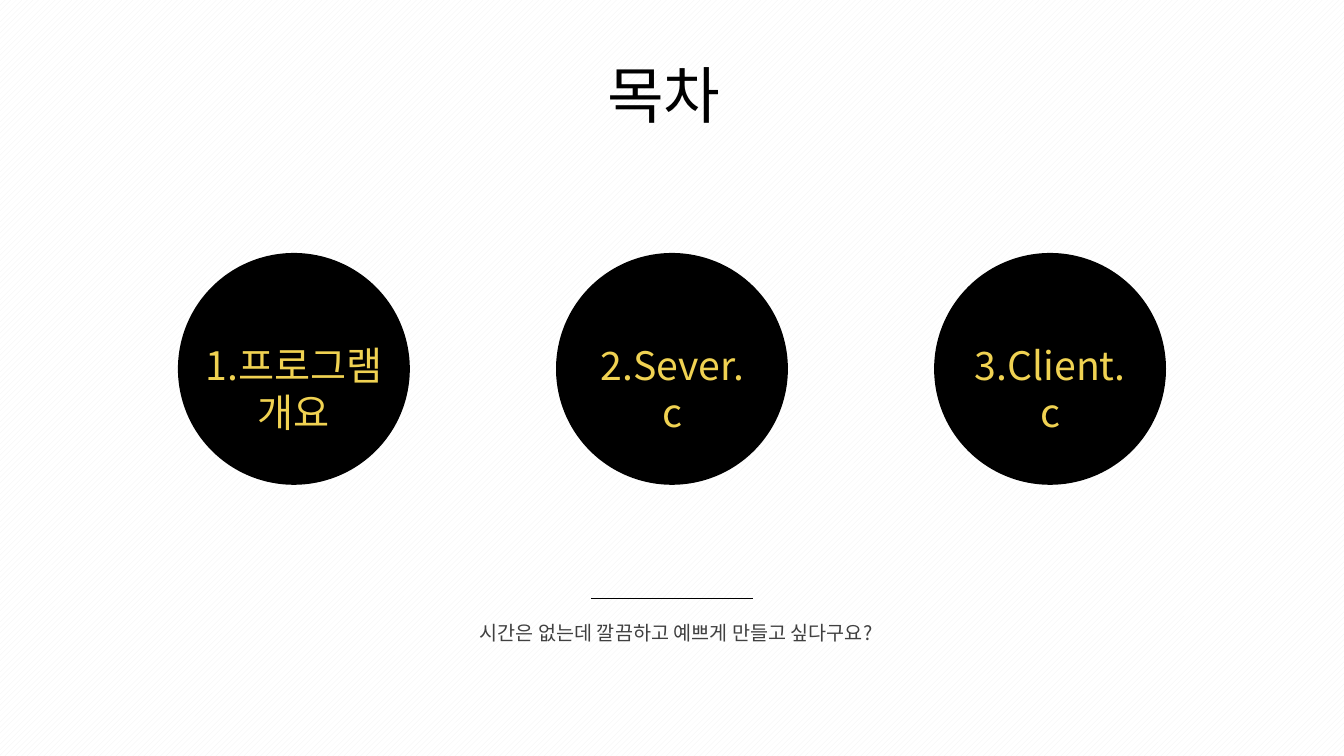
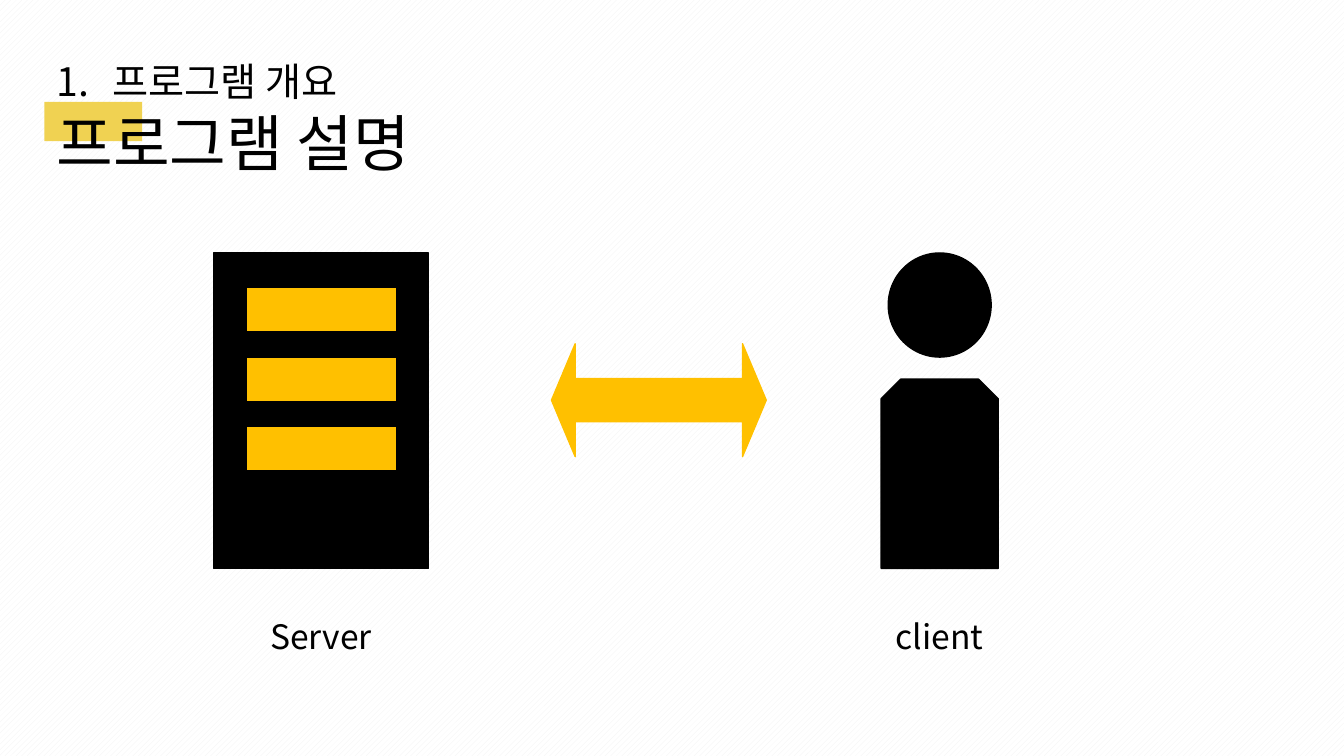
from typing import NamedTuple

from lxml import etree
from pptx import Presentation
from pptx.dml.color import RGBColor
from pptx.enum.dml import MSO_PATTERN
from pptx.enum.shapes import MSO_CONNECTOR, MSO_SHAPE
from pptx.enum.text import MSO_ANCHOR, MSO_AUTO_SIZE, PP_ALIGN
from pptx.oxml.ns import qn
from pptx.util import Inches, Pt

LEFT, CENTER = PP_ALIGN.LEFT, PP_ALIGN.CENTER
TOP, NO_FIT = MSO_ANCHOR.TOP, MSO_AUTO_SIZE.NONE
RECTANGLE, OVAL = MSO_SHAPE.RECTANGLE, MSO_SHAPE.OVAL
SNIPPED, DOUBLE_ARROW = MSO_SHAPE.SNIP_2_SAME_RECTANGLE, MSO_SHAPE.LEFT_RIGHT_ARROW
STRAIGHT = MSO_CONNECTOR.STRAIGHT
DIAGONAL = MSO_PATTERN.WIDE_UPWARD_DIAGONAL

BLACK = RGBColor(0x00, 0x00, 0x00)
WHITE = RGBColor(0xFF, 0xFF, 0xFF)
STRIPE = RGBColor(0xF2, 0xF2, 0xF2)
GRAY = RGBColor(0x40, 0x40, 0x40)
YELLOW = RGBColor(0xF0, 0xD2, 0x52)
AMBER = RGBColor(0xFF, 0xC0, 0x00)

FONT = "Noto Sans CJK KR"
TITLE_SIZE, HEADING_SIZE, LABEL_SIZE, NOTE_SIZE = 44, 28, 24, 14
TITLE_ONLY = 5


class Box(NamedTuple):
    """A rectangle in inches."""
    left: float
    top: float
    width: float
    height: float

    def inner(self, x, y, width, height):
        """The box inside this one whose sides are shares of it."""
        return Box(self.left + x * self.width, self.top + y * self.height,
                   width * self.width, height * self.height)

    def lengths(self):
        return [Inches(value) for value in self]


PAGE = Box(0, 0, 13.33, 7.5)


def write(frame, lines, sizes, color, align):
    """Put one paragraph per line into the frame, each in its own size."""
    frame.word_wrap = True
    frame.auto_size = NO_FIT
    frame.vertical_anchor = TOP
    frame.text = "\n".join(lines)
    for para, size in zip(frame.paragraphs, sizes):
        para.alignment = align
        for span in para.runs:
            span.font.size = Pt(size)
            span.font.name = FONT
            span.font.color.rgb = color
            east_asian = etree.SubElement(span.font._element, qn("a:ea"))
            east_asian.set("typeface", FONT)


def add_text(page, box, lines, size, color=BLACK, align=CENTER):
    frame = page.shapes.add_textbox(*box.lengths()).text_frame
    write(frame, lines, [size] * len(lines), color, align)


def add_block(page, kind, box, fill, outline=None):
    block = page.shapes.add_shape(kind, *box.lengths())
    block.shadow.inherit = False
    block.fill.solid()
    block.fill.fore_color.rgb = fill
    if outline is None:
        block.line.fill.background()
    else:
        block.line.color.rgb = outline
        block.line.width = Pt(1)
    return block


def place_title(page, box, lines, sizes, align):
    title = page.shapes.title
    title.left, title.top, title.width, title.height = box.lengths()
    write(title.text_frame, lines, sizes, BLACK, align)
    return title


def number_paragraph(para, indent):
    properties = para._p.get_or_add_pPr()
    properties.set("marL", str(Inches(indent)))
    properties.set("indent", str(-Inches(indent)))
    etree.SubElement(properties, qn("a:buFont")).set("typeface", "+mj-lt")
    etree.SubElement(properties, qn("a:buAutoNum")).set("type", "arabicPeriod")


def draw_topic(page, box, lines, label_share):
    add_block(page, OVAL, box, BLACK)
    label = box.inner((1 - label_share) / 2, 0.36, label_share, 0.45)
    add_text(page, label, lines, HEADING_SIZE, YELLOW)


def draw_closing_note(page, box, text):
    """A short centred rule with a line of text below it."""
    rule = box.inner(0.3, 0, 0.4, 0)
    start, top, length, _ = rule.lengths()
    line = page.shapes.add_connector(STRAIGHT, start, top, start + length, top)
    line.line.color.rgb = BLACK
    line.line.width = Pt(0.5)
    etree.SubElement(line.element.spPr, qn("a:effectLst"))
    add_text(page, box.inner(0, 0.33, 1, 0.67), [text], NOTE_SIZE, GRAY, LEFT)


def draw_server(page, box):
    add_block(page, RECTANGLE, box, BLACK, BLACK)
    for row in range(3):
        bar = box.inner(0.15, 0.11 + 0.22 * row, 0.7, 0.14)
        add_block(page, RECTANGLE, bar, AMBER, BLACK)


def draw_person(page, box):
    add_block(page, OVAL, box.inner(0.06, 0, 0.88, 0.33), BLACK, BLACK)
    add_block(page, SNIPPED, box.inner(0, 0.4, 1, 0.6), BLACK, BLACK)


def draw_caption(page, figure, text):
    """A caption centred below the figure."""
    width = 4.16
    left = figure.left + (figure.width - width) / 2
    add_text(page, Box(left, 6.06, width, 0.5), [text], LABEL_SIZE)


def build_contents(page):
    place_title(page, Box(3.88, 0.51, 5.41, 0.84), ["목차"], [TITLE_SIZE], CENTER)
    topics = [(["1.프로그램", "개요"], 0.96), (["2.Sever.c"], 0.74),
              (["3.Client.c"], 0.78)]
    diameter, pitch = 2.3, 3.75
    first = (PAGE.width - diameter) / 2 - pitch
    for column, (lines, label_share) in enumerate(topics):
        box = Box(first + column * pitch, 2.51, diameter, diameter)
        draw_topic(page, box, lines, label_share)
    draw_closing_note(page, Box(4.66, 5.94, 4.01, 0.51),
                      "시간은 없는데 깔끔하고 예쁘게 만들고 싶다구요?")


def build_overview(page):
    title = place_title(page, Box(0.46, 0.52, 4.16, 1.31),
                        ["프로그램 개요", "프로그램 설명"],
                        [HEADING_SIZE, TITLE_SIZE], LEFT)
    number_paragraph(title.text_frame.paragraphs[0], 0.56)
    highlight = add_block(page, RECTANGLE, Box(0.44, 1.01, 0.97, 0.39), YELLOW)
    title.element.addprevious(highlight.element)

    server = Box(2.12, 2.51, 2.13, 3.13)
    person = Box(8.74, 2.51, 1.16, 3.13)
    draw_server(page, server)
    draw_caption(page, server, "Server")
    draw_person(page, person)
    draw_caption(page, person, "client")
    arrow = add_block(page, DOUBLE_ARROW, Box(5.47, 3.41, 2.13, 1.12), AMBER, AMBER)
    arrow.adjustments[0] = 0.38
    arrow.adjustments[1] = 0.21


def main():
    deck = Presentation()
    deck.slide_width, deck.slide_height = PAGE.lengths()[2:]
    backdrop = deck.slide_master.background.fill
    backdrop.patterned()
    backdrop.pattern = DIAGONAL
    backdrop.fore_color.rgb = STRIPE
    backdrop.back_color.rgb = WHITE
    for build in (build_contents, build_overview):
        build(deck.slides.add_slide(deck.slide_layouts[TITLE_ONLY]))
    deck.save("out.pptx")


if __name__ == "__main__":
    main()
